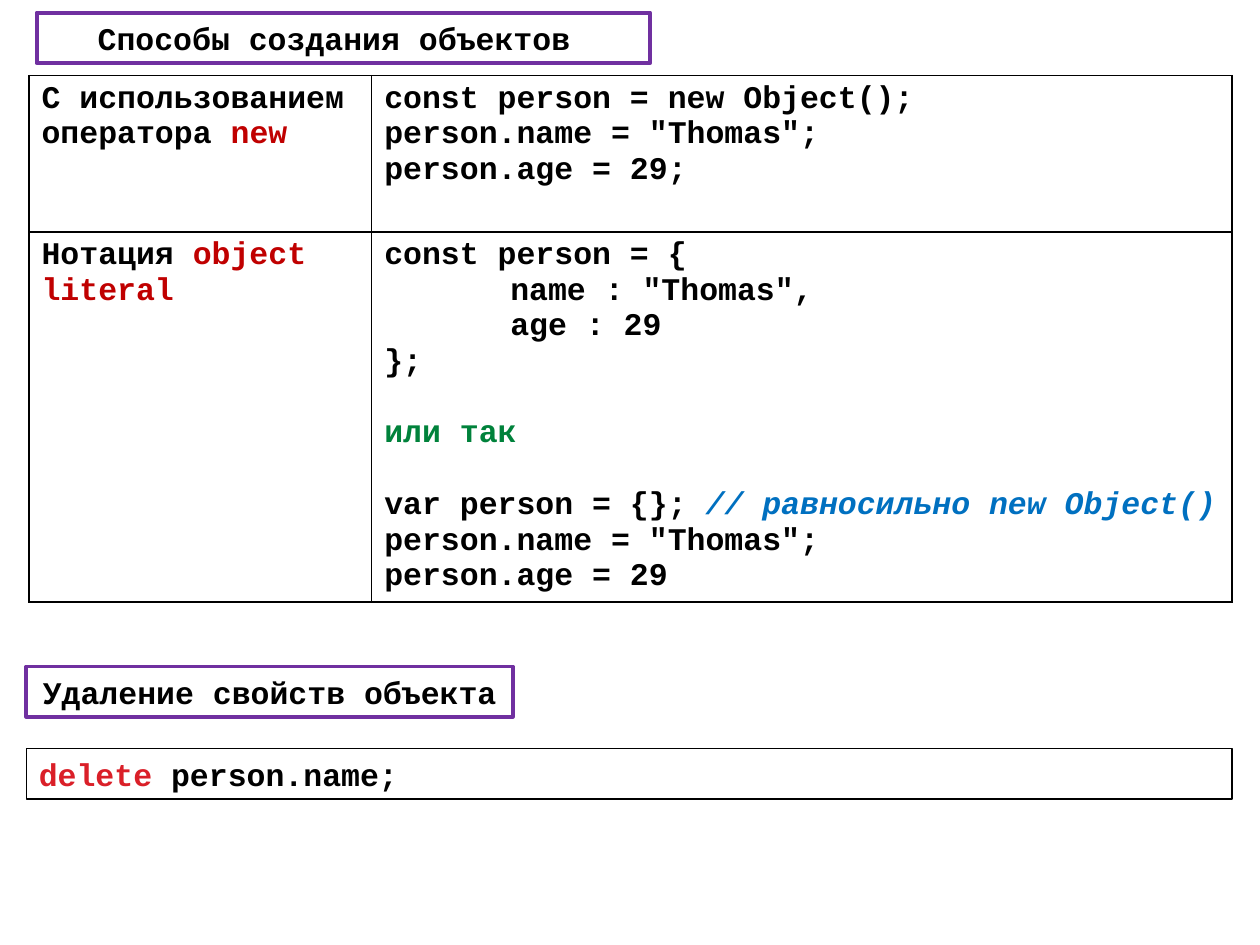
import dataclasses

import lxml.etree
import pptx
import pptx.dml.color
import pptx.enum.text
import pptx.oxml.ns
import pptx.util

Inches = pptx.util.Inches
Pt = pptx.util.Pt
qn = pptx.oxml.ns.qn
PP_ALIGN = pptx.enum.text.PP_ALIGN


@dataclasses.dataclass(frozen=True)
class Theme:
    font: str = "Courier New"
    size: float = 18
    section_spacing: float = 2.0
    tab: float = 1
    text: str = "000000"
    keyword: str = "C00000"
    note: str = "00823B"
    comment: str = "0070C0"
    operator: str = "DA1F28"
    frame: str = "7030A0"
    paper: str = "FFFFFF"
    frame_width: float = 2.25
    rule_width: float = 1


THEME = Theme()


def rgb(value):
    return pptx.dml.color.RGBColor.from_string(value)


def set_tab_stop(paragraph):
    stops = lxml.etree.SubElement(paragraph._p.get_or_add_pPr(), qn("a:tabLst"))
    lxml.etree.SubElement(stops, qn("a:tab"), pos=str(Inches(THEME.tab)), algn="l")


def write_lines(text_frame, lines, align=PP_ALIGN.LEFT):
    for index, line in enumerate(lines):
        paragraph = text_frame.paragraphs[0] if index == 0 else text_frame.add_paragraph()
        paragraph.alignment = align
        if line[0][0].startswith("\t"):
            set_tab_stop(paragraph)
        for text, color in line:
            run = paragraph.add_run()
            run.text = text
            run.font.name = THEME.font
            run.font.size = Pt(THEME.size)
            run.font.bold = True
            run.font.italic = color == THEME.comment
            run.font.color.rgb = rgb(color)


def plain(*texts):
    return [[(text, THEME.text)] for text in texts]


def style_box(box, color, width, lines, align):
    box.line.color.rgb = rgb(color)
    box.line.width = Pt(width)
    frame = box.text_frame
    frame.word_wrap = True
    frame.auto_size = pptx.enum.text.MSO_AUTO_SIZE.NONE
    frame.vertical_anchor = pptx.enum.text.MSO_ANCHOR.TOP
    write_lines(frame, lines, align)


def place_title(slide, left, top, width, height, text):
    title = slide.shapes.title
    title.left, title.top, title.width, title.height = left, top, width, height
    style_box(title, THEME.frame, THEME.frame_width, plain(text), PP_ALIGN.CENTER)


def place_heading(slide, left, top, width, height, text):
    heading = slide.shapes.add_textbox(left, top, width, height)
    style_box(heading, THEME.frame, THEME.frame_width, plain(text), PP_ALIGN.CENTER)


def place_code(slide, left, top, width, height, line):
    code = slide.shapes.add_textbox(left, top, width, height)
    code.fill.solid()
    code.fill.fore_color.rgb = rgb(THEME.paper)
    paper = code.fill._xPr.find(qn("a:solidFill"))[0]
    lxml.etree.SubElement(paper, qn("a:alpha"), val="7000")
    style_box(code, THEME.text, THEME.rule_width, [line], PP_ALIGN.LEFT)


def rule_cell(cell):
    properties = cell._tc.get_or_add_tcPr()
    for side in ("lnL", "lnR", "lnT", "lnB"):
        edge = lxml.etree.SubElement(properties, qn(f"a:{side}"), w=str(Pt(THEME.rule_width)))
        ink = lxml.etree.SubElement(edge, qn("a:solidFill"))
        lxml.etree.SubElement(ink, qn("a:srgbClr"), val=THEME.text)
    cell.fill.background()


def place_methods(slide, left, top, width, height, rows, column_shares, row_shares):
    methods = slide.shapes.add_table(len(rows), len(column_shares), left, top, width, height).table
    methods.first_row = False
    methods.horz_banding = False
    for column, share in zip(methods.columns, column_shares):
        column.width = int(width * share / sum(column_shares))
    for row, share in zip(methods.rows, row_shares):
        row.height = int(height * share / sum(row_shares))
    for row, contents in zip(methods.rows, rows):
        for cell, lines in zip(row.cells, contents):
            rule_cell(cell)
            write_lines(cell.text_frame, lines)
    return methods


def build_objects_slide(deck):
    slide = deck.slides.add_slide(deck.slide_layouts[5])
    box_height = Inches(0.4)
    section_left = Inches(0.21)
    place_title(slide, Inches(0.29), Inches(0.1), Inches(4.87), box_height,
                "Способы создания объектов ")

    assignments = ('person.name = "Thomas";', "person.age = 29")
    operator_label = plain("С использованием") + [
        [("оператора ", THEME.text), ("new", THEME.keyword)]]
    operator_code = plain("const person = new Object();", assignments[0], assignments[1] + ";")
    literal_label = [[("Нотация ", THEME.text), ("object literal", THEME.keyword)]]
    literal_code = plain("const person = {", '\tname : "Thomas",', "\tage : 29", "};")
    alternative = [
        [("или так", THEME.note)],
        [("var person = {}; ", THEME.text), ("// равносильно new Object()", THEME.comment)],
    ]
    methods = place_methods(
        slide, Inches(0.23), Inches(0.6), Inches(9.55), Inches(4.18),
        [(operator_label, operator_code),
         (literal_label, literal_code + alternative + plain(*assignments))],
        (2.72, 6.83), (1.24, 2.94))
    first = len(literal_code)
    for paragraph in methods.cell(1, 1).text_frame.paragraphs[first:first + len(alternative)]:
        paragraph.line_spacing = THEME.section_spacing

    place_heading(slide, section_left, Inches(5.29), Inches(3.86), box_height,
                  "Удаление свойств объекта")
    place_code(slide, section_left, Inches(5.94), Inches(9.57), box_height,
               [("delete", THEME.operator), (" person.name;", THEME.text)])


deck = pptx.Presentation()
deck.slide_width = Inches(10)
deck.slide_height = Inches(7.5)
build_objects_slide(deck)
deck.save("out.pptx")
